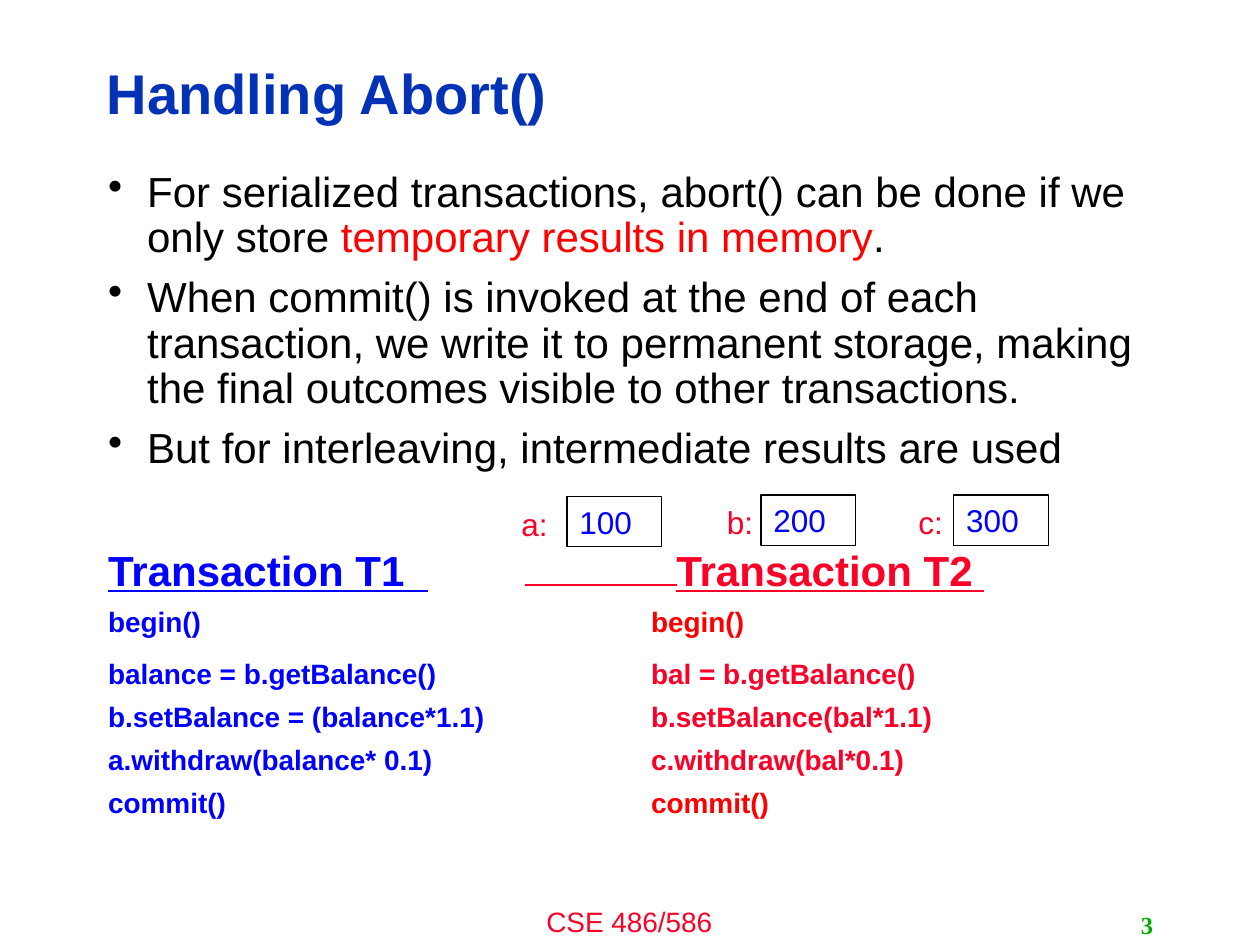
"""Build the Handling Abort() slide."""
from lxml import etree
from pptx import Presentation, util as u
from pptx.dml.color import RGBColor
from pptx.enum import shapes, text
from pptx.oxml.ns import qn

THEME = {
    "title": {"size": 32, "color": "0332B7", "bold": True},
    "body": {"size": 24, "color": "000000"},
    "accent": {"size": 24, "color": "FF0000"},
    "head_one": {"size": 24, "color": "0000FF", "bold": True, "underline": True},
    "head_two": {"size": 24, "color": "FC0128", "bold": True, "underline": True},
    "code_one": {"size": 16, "color": "0000FF", "bold": True},
    "code_two": {"size": 16, "color": "FC0128", "bold": True},
    "code_edge": {"size": 16, "color": "FF0000", "bold": True},
    "value": {"size": 18, "color": "0000FF"},
    "label": {"size": 18, "color": "FC0128"},
    "footer": {"size": 16, "color": "FC0128"},
    "number": {"size": 14, "color": "00AE00", "bold": True, "name": "Times New Roman"},
}


def add_spans(para, spans, **layout):
    for key, value in layout.items():
        setattr(para, key, value)
    for words, style in spans:
        span = para.add_run()
        span.text = words
        for key, value in {"name": "Arial", **THEME[style]}.items():
            if key == "color":
                span.font.color.rgb = RGBColor.from_string(value)
            else:
                setattr(span.font, key, u.Pt(value) if key == "size" else value)


def add_box(left, top, width, height, spans=(), anchor=text.MSO_ANCHOR.TOP, **layout):
    box = page.shapes.add_textbox(*map(u.Inches, (left, top, width, height)))
    box.text_frame.word_wrap = True
    box.text_frame.vertical_anchor = anchor
    add_spans(box.text_frame.paragraphs[0], spans, **layout)
    return box


deck = Presentation()
deck.slide_width, deck.slide_height = u.Inches(10), u.Inches(7.5)
page = deck.slides.add_slide(deck.slide_layouts[6])
middle = text.MSO_ANCHOR.MIDDLE

add_box(3.33, 7.13, 3.33, 0.37, [("CSE 486/586", "footer")], alignment=text.PP_ALIGN.CENTER)
add_box(0.75, 0.36, 7.98, 0.81, [("Handling Abort()", "title")], middle, line_spacing=0.9)
add_box(7.17, 7.18, 2.08, 0.32, [("3", "number")], middle, alignment=text.PP_ALIGN.RIGHT)

bullets = [
    [("For serialized transactions, abort() can be done if we only store ", "body"),
     ("temporary results in memory", "accent"), (".", "body")],
    [("When commit() is invoked at the end of each transaction, we write it to permanent "
      "storage, making the final outcomes visible to other transactions.", "body")],
    [("But for interleaving, intermediate results are used", "body")],
]
steps = [
    ("Transaction T1  ", "head_one", "Transaction T2 ", "head_two", 41, 4.51),
    ("begin()", "code_one", "begin()", "code_edge", 5.5, 4.31),
    ("balance = b.getBalance()", "code_one", "bal = b.getBalance()", "code_two", 10.5, 4.31),
    ("b.setBalance = (balance*1.1)", "code_one", "b.setBalance(bal*1.1)", "code_two", 5.5, 4.31),
    ("a.withdraw(balance* 0.1)", "code_one", "c.withdraw(bal*0.1)", "code_two", 5.5, 4.31),
    ("commit()", "code_one", "commit()", "code_edge", 5.5, 4.31),
]
body = add_box(0.76, 1.31, 8.4, 5.39).text_frame
for index, spans in enumerate(bullets):
    para = body.add_paragraph() if index else body.paragraphs[0]
    add_spans(para, spans, line_spacing=0.9, space_before=u.Pt(8.3 if index else 0))
    props = para._p.get_or_add_pPr()
    props.set("marL", str(u.Inches(0.31)))
    props.set("indent", str(u.Inches(-0.31)))
    etree.SubElement(props, qn("a:buChar")).set("char", "•")
for first, first_style, second, second_style, gap, stop in steps:
    para = body.add_paragraph()
    spans = [(first, first_style), ("\t", "code_one"), (second, second_style)]
    add_spans(para, spans, space_before=u.Pt(gap))
    tabs = etree.SubElement(para._p.get_or_add_pPr(), qn("a:tabLst"))
    tab = etree.SubElement(tabs, qn("a:tab"))
    tab.set("pos", str(u.Inches(stop)))
    tab.set("algn", "l")

rule = page.shapes.add_connector(
    shapes.MSO_CONNECTOR.STRAIGHT, *map(u.Inches, (4.17, 4.64, 5.37, 4.64)))
rule.line.color.rgb = RGBColor.from_string(THEME["head_two"]["color"])
rule.line.width = u.Pt(1.25)
etree.SubElement(rule._element.spPr, qn("a:effectLst"))

accounts = [("a:", "100", 4.04, 3.96, 4.5, 3.94),
            ("b:", "200", 5.67, 3.94, 6.04, 3.93),
            ("c:", "300", 7.19, 3.94, 7.57, 3.93)]
for label, value, label_left, label_top, left, top in accounts:
    cell = page.shapes.add_shape(
        shapes.MSO_SHAPE.RECTANGLE, *map(u.Inches, (left, top, 0.75, 0.4)))
    cell.shadow.inherit = False
    cell.fill.background()
    cell.line.color.rgb = RGBColor.from_string(THEME["body"]["color"])
    cell.line.width = u.Pt(0.75)
    cell.text_frame.vertical_anchor = middle
    add_spans(cell.text_frame.paragraphs[0], [(value, "value")],
              alignment=text.PP_ALIGN.LEFT)
    add_box(label_left, label_top, 0.56, 0.37, [(label, "label")])

deck.save("out.pptx")
